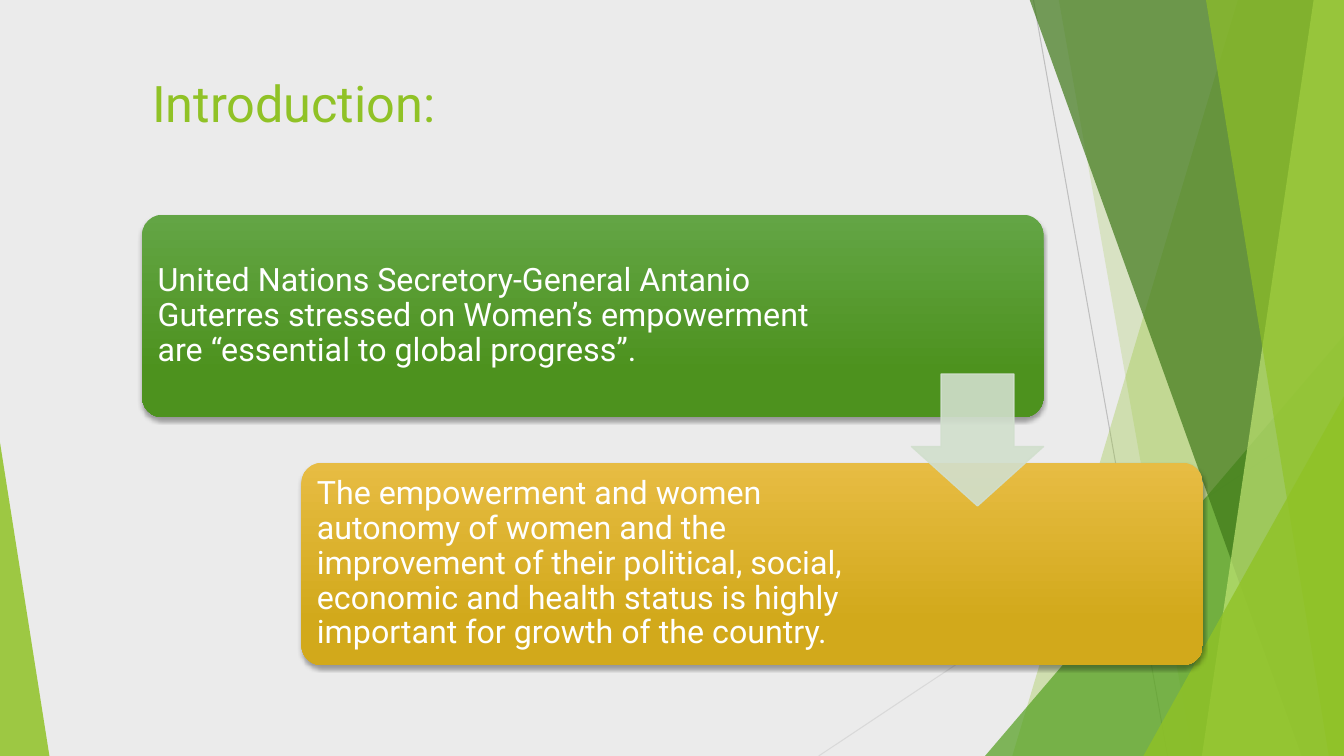
from lxml import etree
from pptx import Presentation
from pptx.dml.color import RGBColor
from pptx.enum.shapes import MSO_CONNECTOR, MSO_SHAPE
from pptx.enum.text import MSO_ANCHOR
from pptx.oxml.ns import qn
from pptx.util import Inches, Pt

STRAIGHT = MSO_CONNECTOR.STRAIGHT
TRIANGLE = MSO_SHAPE.ISOSCELES_TRIANGLE
ROUNDED = MSO_SHAPE.ROUNDED_RECTANGLE
DOWN_ARROW = MSO_SHAPE.DOWN_ARROW
TOP, MIDDLE = MSO_ANCHOR.TOP, MSO_ANCHOR.MIDDLE

FONT = "Roboto"
WIDTH, HEIGHT = 13.33, 7.5
FACET_TOP = -0.01
COLOURS = {
    "background": "EBEBEB", "grey": "BFBFBF", "pale grey": "D9D9D9",
    "lime": "90C226", "green": "54A021", "dark green": "3F7819",
    "light lime": "C0E474", "arrow": "D1DFCD", "white": "FFFFFF",
    "green top": "63A545", "green bottom": "4D921E",
    "gold top": "E7BC43", "gold bottom": "D2A91B", "black": "000000",
}

TITLE = "Introduction:"
TITLE_BOX = (1.41, 0.67, 11.15, 1.2)
STEPS = [
    ("United Nations Secretory-General Antanio Guterres stressed on Women’s "
     "empowerment are “essential to global progress”.",
     "green top", "green bottom", 6.86),
    ("The empowerment and women autonomy of women and the improvement of their "
     "political, social, economic and health status is highly important for "
     "growth of the country.",
     "gold top", "gold bottom", 5.94),
]
STEP_LEFT, STEP_TOP, STEP_WIDTH, STEP_HEIGHT = 1.41, 2.13, 8.94, 2.01
STEP_SHIFT, STEP_DROP, STEP_PADDING = 1.58, 2.46, 0.055
ARROW_SIZE = 1.31
ARROW_TOP = 3.71

LINES = [
    ((10.25, 0), (11.58, HEIGHT), "grey"),
    ((WIDTH, 4.03), (8.12, HEIGHT), "pale grey"),
]
FACETS = [
    ("band", (12.28, 10.04), "lime", 30),
    ("band", (10.5, 11.83), "lime", 20),
    ("triangle", (9.77, 3.33, 3.56, 1), "green", 72),
    ("band", (10.21, 12.91), "dark green", 70),
    ("band", (13.03, 11.92), "light lime", 70),
    ("band", (11.96, 13.18), "lime", 65),
    ("triangle", (11.34, 3.93, 1.99, 1), "lime", 80),
    ("triangle", (0, 4.39, 0.49, 0), "lime", 85),
]


def colour(name):
    return RGBColor.from_string(COLOURS[name])


def paint(fill, name, opacity):
    fill.solid()
    fill.fore_color.rgb = colour(name)
    for tag in fill._xPr.iter(qn("a:srgbClr")):
        etree.SubElement(tag, qn("a:alpha"), val=str(opacity * 1000))


def add_preset(slide, kind, box, adjustments):
    shape = slide.shapes.add_shape(kind, *map(Inches, box))
    shape.shadow.inherit = False
    shape.line.fill.background()
    for index, value in enumerate(adjustments):
        shape.adjustments[index] = value
    return shape


def add_line(slide, start, end, name):
    line = slide.shapes.add_connector(STRAIGHT, *map(Inches, start + end))
    line.line.color.rgb = colour(name)
    line.line.width = Pt(0.75)
    etree.SubElement(line._element.spPr, qn("a:effectLst"))


def add_band(slide, upper, lower):
    builder = slide.shapes.build_freeform(Inches(upper), Inches(FACET_TOP))
    corners = [(WIDTH, FACET_TOP), (WIDTH, HEIGHT), (lower, HEIGHT)]
    builder.add_line_segments([(Inches(x), Inches(y)) for x, y in corners])
    band = builder.convert_to_shape()
    band.shadow.inherit = False
    band.line.fill.background()
    return band


def add_triangle(slide, left, top, width, apex):
    return add_preset(slide, TRIANGLE, (left, top, width, HEIGHT - top), [apex])


def add_text(slide, box, text, size, name, anchor, inset):
    text_box = slide.shapes.add_textbox(*map(Inches, box))
    frame = text_box.text_frame
    frame.word_wrap = True
    frame.vertical_anchor = anchor
    frame.margin_left = frame.margin_right = Inches(0.1)
    frame.margin_top = frame.margin_bottom = Inches(inset)
    paragraph = frame.paragraphs[0]
    run = paragraph.add_run()
    run.text = text
    run.font.name = FONT
    run.font.size = Pt(size)
    run.font.color.rgb = colour(name)
    return paragraph


def add_step(slide, index, text, upper, lower, text_width):
    left = STEP_LEFT + index * STEP_SHIFT
    top = STEP_TOP + index * STEP_DROP
    card = add_preset(slide, ROUNDED, (left, top, STEP_WIDTH, STEP_HEIGHT), [0.1])
    card.fill.gradient()
    card.fill.gradient_angle = 270
    for stop, name, position in zip(card.fill.gradient_stops, (upper, lower), (0, 0.78)):
        stop.color.rgb = colour(name)
        stop.position = position
    effects = card._element.spPr.find(qn("a:effectLst"))
    shadow = etree.SubElement(effects, qn("a:outerShdw"), blurRad=str(Pt(3)),
                              dist=str(Pt(2)), dir="5400000", rotWithShape="0")
    shade = etree.SubElement(shadow, qn("a:srgbClr"), val=COLOURS["black"])
    etree.SubElement(shade, qn("a:alpha"), val="35000")
    box = (left + STEP_PADDING, top + STEP_PADDING, text_width,
           STEP_HEIGHT - 2 * STEP_PADDING)
    paragraph = add_text(slide, box, text, 23, "white", MIDDLE, 0.1)
    paragraph.line_spacing = 0.9


def main():
    presentation = Presentation()
    presentation.slide_width = Inches(WIDTH)
    presentation.slide_height = Inches(HEIGHT)
    slide = presentation.slides.add_slide(presentation.slide_layouts[6])
    slide.background.fill.solid()
    slide.background.fill.fore_color.rgb = colour("background")

    for start, end, name in LINES:
        add_line(slide, start, end, name)
    builders = {"band": add_band, "triangle": add_triangle}
    for kind, geometry, name, opacity in FACETS:
        paint(builders[kind](slide, *geometry).fill, name, opacity)

    add_text(slide, TITLE_BOX, TITLE, 36, "lime", TOP, 0.05)
    for index, step in enumerate(STEPS):
        add_step(slide, index, *step)

    arrow_left = STEP_LEFT + STEP_WIDTH - ARROW_SIZE
    arrow_box = (arrow_left, ARROW_TOP, ARROW_SIZE, ARROW_SIZE)
    arrow = add_preset(slide, DOWN_ARROW, arrow_box, [0.55, 0.45])
    paint(arrow.fill, "arrow", 90)
    arrow.line.width = Pt(1)
    paint(arrow.line.fill, "arrow", 90)
    presentation.save("out.pptx")


if __name__ == "__main__":
    main()
